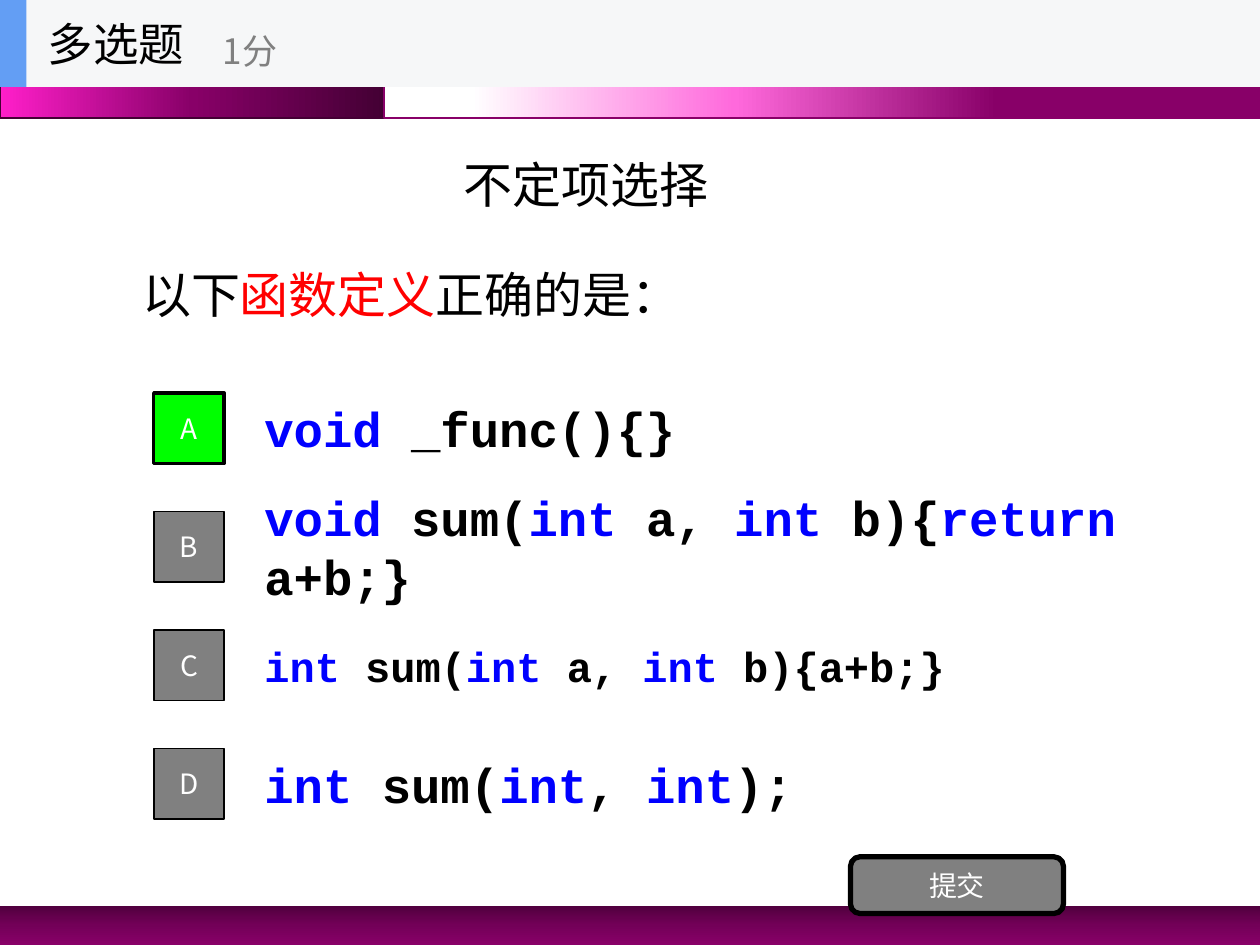
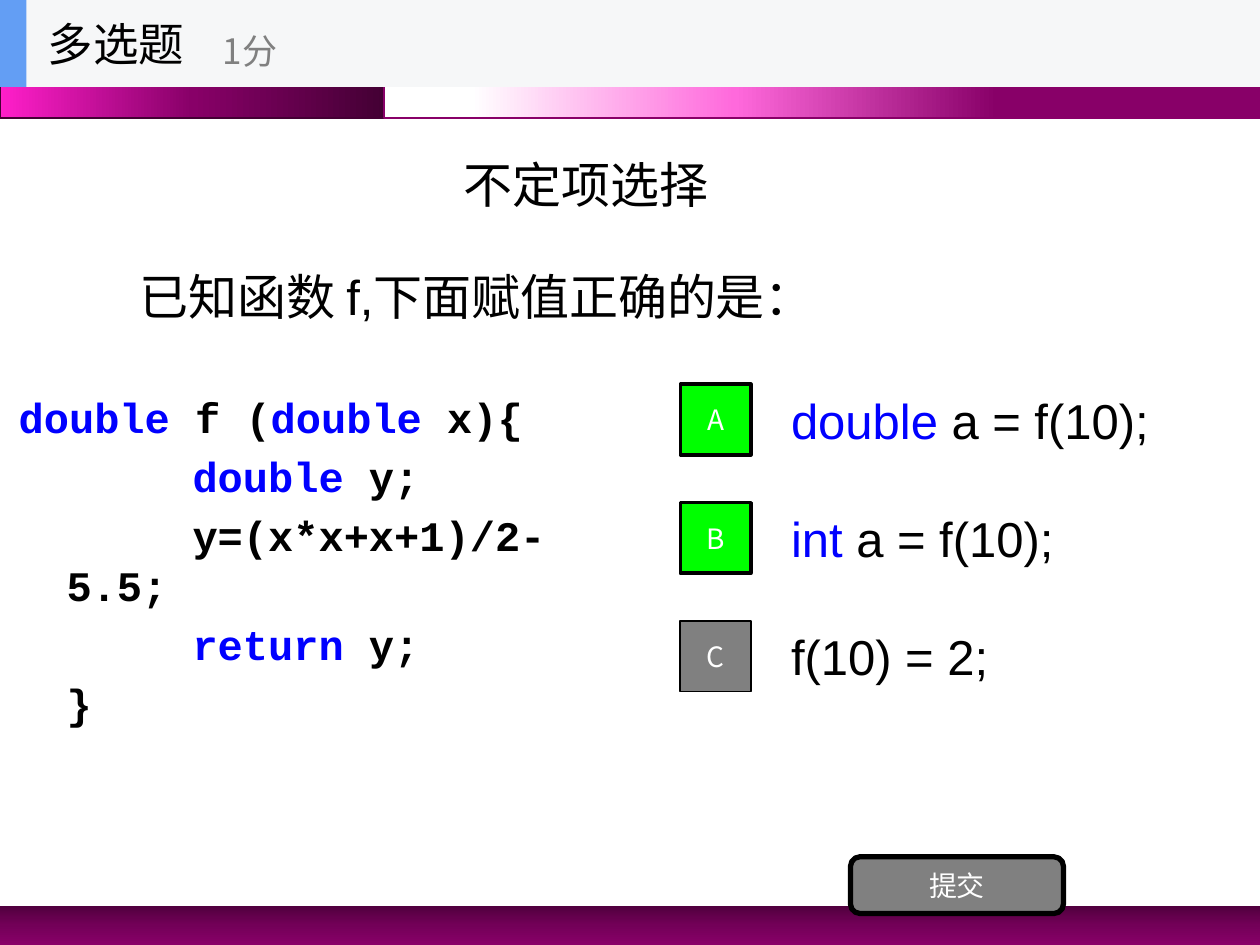
import copy

import lxml.etree
import pptx
import pptx.dml.color
import pptx.enum.shapes
import pptx.enum.text
import pptx.oxml.ns
import pptx.util

Inches = pptx.util.Inches
Pt = pptx.util.Pt
Shapes = pptx.enum.shapes.MSO_SHAPE
Anchor = pptx.enum.text.MSO_ANCHOR
Align = pptx.enum.text.PP_ALIGN
qn = pptx.oxml.ns.qn

BLACK, WHITE, GRAY = "000000", "FFFFFF", "808080"
KEYWORD, HIGHLIGHT, CORRECT = "0000FF", "FF0000", "00FF00"
PLUM, DARK_PLUM = "880068", "440034"
BODY, CODE, INTERFACE = "Arial", "Courier New", "Noto Sans CJK SC"
ROW_PITCH = 0.94


def rgb(value):
    return pptx.dml.color.RGBColor.from_string(value)


class QuizDeck:
    def __init__(self):
        self.deck = pptx.Presentation()
        self.deck.slide_width = Inches(10)
        self.deck.slide_height = Inches(7.5)
        self.slide = None

    def start(self, title):
        self.slide = self.deck.slides.add_slide(self.deck.slide_layouts[5])
        self.band(0, 7.19, 10, 0.31, [(0, "51003E"), (50, "730058"), (100, PLUM)], 90)
        self.band(0, 0, 3.05, 0.94, [(0, DARK_PLUM), (50, PLUM), (100, "FF1FCA")], 180, DARK_PLUM)
        self.band(3.05, 0, 6.95, 0.94, [(30, PLUM), (60, "FF69DC"), (90, WHITE)], 180, PLUM)
        heading = self.slide.shapes.title
        heading.left, heading.top = Inches(3.58), Inches(1.18)
        heading.width, heading.height = Inches(3.48), Inches(0.57)
        heading.text_frame.auto_size = pptx.enum.text.MSO_AUTO_SIZE.SHAPE_TO_FIT_TEXT
        heading.text_frame.vertical_anchor = Anchor.TOP
        paragraph = heading.text_frame.paragraphs[0]
        paragraph.alignment = Align.LEFT
        self.runs(paragraph, [(title, BLACK)], 28)

    def runs(self, paragraph, pieces, size, face=BODY):
        for words, color in pieces:
            run = paragraph.add_run()
            run.text = words
            run.font.size = Pt(size)
            run.font.bold = face == CODE
            run.font.color.rgb = rgb(color)
            run.font.name = face
            east_asian = lxml.etree.SubElement(run.font._element, qn("a:ea"))
            east_asian.set("typeface", INTERFACE)

    def shape(self, left, top, width, height, fill=None, line=None, weight=1, kind=Shapes.RECTANGLE):
        shape = self.slide.shapes.add_shape(
            kind, Inches(left), Inches(top), Inches(width), Inches(height))
        shape.shadow.inherit = False
        if fill:
            shape.fill.solid()
            shape.fill.fore_color.rgb = rgb(fill)
        if line:
            shape.line.color.rgb = rgb(line)
            shape.line.width = Pt(weight)
        else:
            shape.line.fill.background()
        return shape

    def band(self, left, top, width, height, stops, angle, line=None):
        band = self.shape(left, top, width, height, line=line)
        band.fill.gradient()
        band.fill.gradient_angle = 360 - angle
        stop_list = band._element.spPr.find(".//" + qn("a:gsLst"))
        stop_list.append(copy.deepcopy(stop_list[-1]))
        for stop, (percent, color) in zip(band.fill.gradient_stops, stops):
            stop.position = percent / 100
            stop.color.rgb = rgb(color)

    def button(self, label, left, top, width, height, fill, weight, kind=Shapes.RECTANGLE):
        button = self.shape(left, top, width, height, fill, BLACK, weight, kind)
        button.text_frame.vertical_anchor = Anchor.MIDDLE
        paragraph = button.text_frame.paragraphs[0]
        paragraph.alignment = Align.CENTER
        self.runs(paragraph, [(label, WHITE)], 16, INTERFACE)

    def text(self, left, top, width, height, pieces, size=28, face=BODY, wrap=True):
        box = self.slide.shapes.add_textbox(
            Inches(left), Inches(top), Inches(width), Inches(height))
        box.text_frame.word_wrap = wrap
        box.text_frame.vertical_anchor = Anchor.MIDDLE
        self.runs(box.text_frame.paragraphs[0], pieces, size, face)

    def code(self, left, top, width, height, lines):
        box = self.slide.shapes.add_textbox(
            Inches(left), Inches(top), Inches(width), Inches(height))
        box.text_frame.word_wrap = True
        for number, (indent, pieces) in enumerate(lines):
            paragraph = box.text_frame.add_paragraph() if number else box.text_frame.paragraphs[0]
            properties = paragraph._p.get_or_add_pPr()
            properties.set("marL", str(Inches(0.38)))
            properties.set("indent", str(Inches(indent)))
            if number:
                paragraph.space_before = Pt(4.8)
            self.runs(paragraph, pieces, 24, CODE)

    def options(self, left, top, width, answers, face):
        for row, (correct, size, pieces) in enumerate(answers):
            row_top = top + row * ROW_PITCH
            self.text(left + 0.78, row_top - 0.07, width, 0.7, pieces, size, face)
            self.button("ABCD"[row], left, row_top, 0.56, 0.56,
                        CORRECT if correct else GRAY, 2 if correct else 1)

    def finish(self):
        self.button("提交", 6.75, 6.8, 1.69, 0.45, GRAY, 3, Shapes.ROUNDED_RECTANGLE)
        self.shape(0, 0, 10, 0.69, "F6F7F8")
        self.shape(0, 0, 0.21, 0.69, "639EF4")
        self.text(0.28, 0, 2.08, 0.69, [("多选题", BLACK)], 26, INTERFACE, False)
        self.text(1.67, 0.12, 2.5, 0.56, [("1分", GRAY)], 20, INTERFACE, False)


def main():
    quiz = QuizDeck()
    void, integer, double = ("void", KEYWORD), ("int", KEYWORD), ("double ", KEYWORD)
    name, comma = (" sum(", BLACK), (" a, ", BLACK)

    quiz.start("不定项选择")
    quiz.text(1.03, 1.16, 8, 2.34,
              [("以下", BLACK), ("函数定义", HIGHLIGHT), ("正确的是：", BLACK)])
    quiz.options(1.22, 3.12, 7, [
        (True, 28, [void, (" _func(){}", BLACK)]),
        (False, 28, [void, name, integer, comma, integer, (" b){", BLACK),
                     ("return ", KEYWORD), ("a+b;}", BLACK)]),
        (False, 24, [integer, name, integer, comma, integer, (" b){a+b;}", BLACK)]),
        (False, 28, [integer, name, integer, (", ", BLACK), integer, (");", BLACK)]),
    ], CODE)
    quiz.finish()

    quiz.start("不定项选择")
    quiz.text(1.01, 1.18, 8, 2.34, [("已知函数 f,下面赋值正确的是：", BLACK)])
    quiz.options(5.4, 3.05, 3.46, [
        (True, 28, [("double", KEYWORD), (" a = f(10);", BLACK)]),
        (True, 28, [integer, (" a = f(10);", BLACK)]),
        (False, 28, [("f(10) = 2;", BLACK)]),
    ], BODY)
    quiz.code(0.05, 3.06, 4.96, 2.6, [
        (-0.38, [double, ("f (", BLACK), double, ("x){", BLACK)]),
        (1, [double, ("y;", BLACK)]),
        (1, [("y=(x*x+x+1)/2-5.5;", BLACK)]),
        (1, [("return ", KEYWORD), ("y;", BLACK)]),
        (0, [("}", BLACK)]),
    ])
    quiz.finish()

    quiz.deck.save("out.pptx")


if __name__ == "__main__":
    main()
